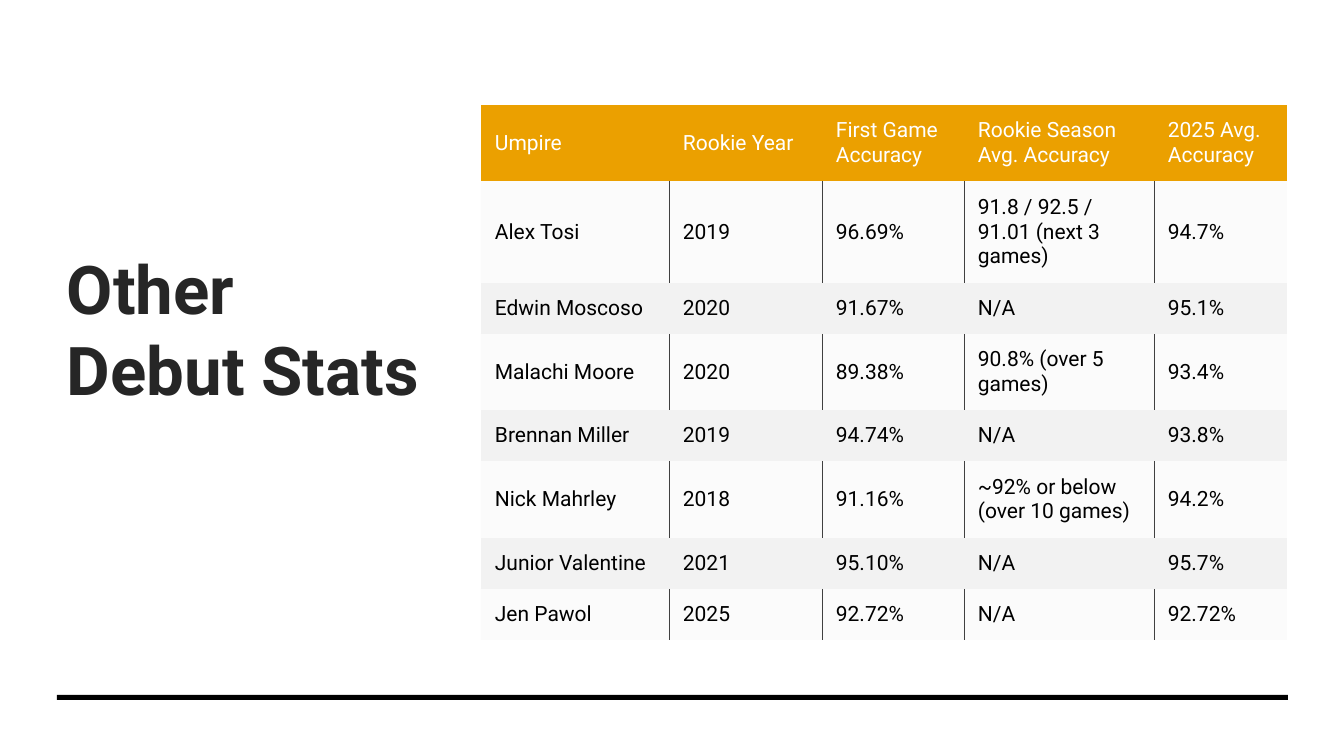
import pptx
import pptx.dml.color
import pptx.enum.shapes
import pptx.enum.text
import pptx.oxml
import pptx.oxml.ns
import pptx.util

PX = 914400 / 100.8
FONT = "Roboto"
COLOURS = {
    "page": "FFFFFF",
    "title": "262626",
    "header": "EBA000",
    "header_text": "FFFFFF",
    "band": "F2F2F2",
    "body_text": "000000",
    "divider": "404040",
    "rule": "000000",
}
PLAIN_TABLE_STYLE = "{2D5ABB26-0587-4C30-8999-92F81FD0307C}"
COLUMN_WIDTHS = [188, 153, 142, 190, 133]
ROW_HEIGHTS = [76, 102, 51, 76, 51, 77, 51, 51]
UMPIRES = [
    ["Umpire", "Rookie Year", "First Game Accuracy", "Rookie Season Avg. Accuracy", "2025 Avg. Accuracy"],
    ["Alex Tosi", "2019", "96.69%", "91.8 / 92.5 / 91.01 (next 3 games)", "94.7%"],
    ["Edwin Moscoso", "2020", "91.67%", "N/A", "95.1%"],
    ["Malachi Moore", "2020", "89.38%", "90.8% (over 5 games)", "93.4%"],
    ["Brennan Miller", "2019", "94.74%", "N/A", "93.8%"],
    ["Nick Mahrley", "2018", "91.16%", "~92% or below (over 10 games)", "94.2%"],
    ["Junior Valentine", "2021", "95.10%", "N/A", "95.7%"],
    ["Jen Pawol", "2025", "92.72%", "N/A", "92.72%"],
]


def px(length):
    return pptx.util.Emu(round(length * PX))


def colour(name):
    return pptx.dml.color.RGBColor.from_string(COLOURS[name])


def paint(fill, name):
    fill.solid()
    fill.fore_color.rgb = colour(name)


def set_font(para, size, name, bold=False):
    para.font.name = FONT
    para.font.size = pptx.util.Pt(size)
    para.font.bold = bold
    para.font.color.rgb = colour(name)


def set_margins(target, left, top, right, bottom):
    target.margin_left, target.margin_top = px(left), px(top)
    target.margin_right, target.margin_bottom = px(right), px(bottom)


def add_title(page, box):
    title = page.shapes.title
    title.left, title.top, title.width, title.height = map(px, box)
    frame = title.text_frame
    frame.word_wrap = True
    frame.auto_size = pptx.enum.text.MSO_AUTO_SIZE.NONE
    frame.vertical_anchor = pptx.enum.text.MSO_ANCHOR.BOTTOM
    set_margins(frame, 10, 5, 10, 5)
    para = frame.paragraphs[0]
    para.alignment = pptx.enum.text.PP_ALIGN.LEFT
    para.line_spacing = 1.0
    para.add_run().text = "Other"
    para.add_line_break()
    para.add_run().text = "Debut Stats"
    set_font(para, 48, "title", bold=True)


def add_rule(page, box):
    rule = page.shapes.add_shape(pptx.enum.shapes.MSO_SHAPE.RECTANGLE, *map(px, box))
    rule.shadow.inherit = False
    paint(rule.fill, "rule")
    rule.line.fill.background()


def add_dividers(cell, sides):
    properties = cell._tc.get_or_add_tcPr()
    for position, side in enumerate(sides):
        divider = pptx.oxml.parse_xml(
            f'<a:ln{side} {pptx.oxml.ns.nsdecls("a")} w="6350"><a:solidFill>'
            f'<a:srgbClr val="{COLOURS["divider"]}"/></a:solidFill></a:ln{side}>'
        )
        properties.insert(position, divider)


def make_translucent(cell, percent):
    shade = cell._tc.tcPr.find(".//" + pptx.oxml.ns.qn("a:srgbClr"))
    alpha = pptx.oxml.parse_xml(f'<a:alpha {pptx.oxml.ns.nsdecls("a")} val="{percent * 1000}"/>')
    shade.append(alpha)


def format_cell(cell, row, column):
    cell.vertical_anchor = pptx.enum.text.MSO_ANCHOR.MIDDLE
    set_margins(cell, 14, 11, 10, 11)
    is_header = row == 0
    set_font(cell.text_frame.paragraphs[0], 15, "header_text" if is_header else "body_text")
    paint(cell.fill, "header" if is_header else "band")
    if row % 2:
        make_translucent(cell, 30)
        last = len(COLUMN_WIDTHS) - 1
        add_dividers(cell, ("L" if column > 0 else "") + ("R" if column < last else ""))


def add_umpire_table(page, left, top):
    frame = page.shapes.add_table(
        len(ROW_HEIGHTS), len(COLUMN_WIDTHS),
        px(left), px(top), px(sum(COLUMN_WIDTHS)), px(sum(ROW_HEIGHTS)),
    )
    table = frame.table
    table._tbl.tblPr.find(pptx.oxml.ns.qn("a:tableStyleId")).text = PLAIN_TABLE_STYLE
    for column, width in zip(table.columns, COLUMN_WIDTHS):
        column.width = px(width)
    for row, height in zip(table.rows, ROW_HEIGHTS):
        row.height = px(height)
    for row, values in enumerate(UMPIRES):
        for column, value in enumerate(values):
            cell = table.cell(row, column)
            cell.text = value
            format_cell(cell, row, column)


def add_stats_page(deck):
    page = deck.slides.add_slide(deck.slide_layouts[5])
    paint(page.background.fill, "page")
    add_title(page, (57, 93, 382, 321))
    add_rule(page, (57, 695, 1231, 5))
    add_umpire_table(page, 481, 105)


def main():
    deck = pptx.Presentation()
    deck.slide_width, deck.slide_height = px(1344), px(756)
    add_stats_page(deck)
    deck.save("out.pptx")


if __name__ == "__main__":
    main()
